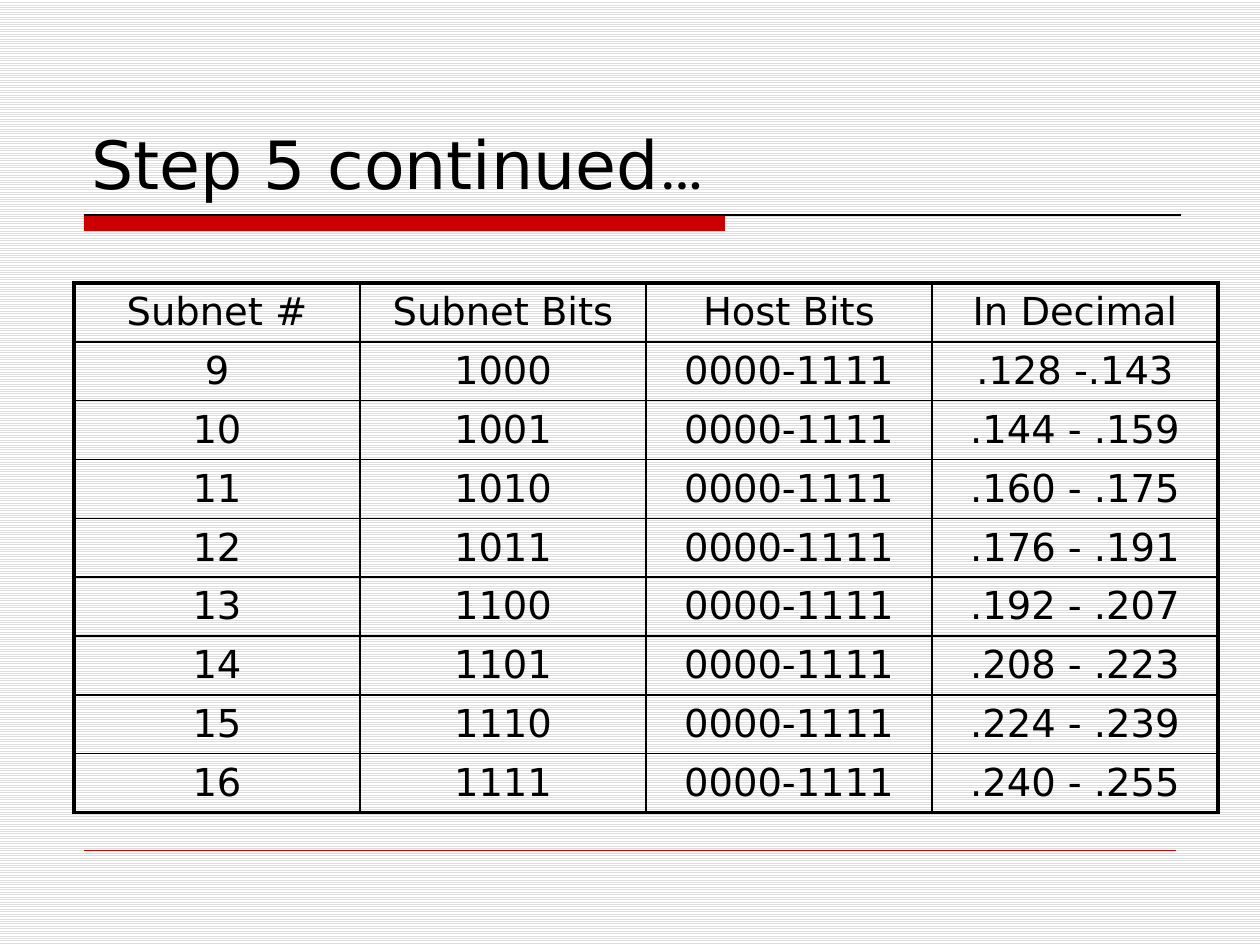
import pptx
import pptx.util
import pptx.dml.color
import pptx.enum.dml
import pptx.enum.shapes
import pptx.enum.text
import pptx.oxml
import pptx.oxml.ns

TITLE = [("Step 5 continued", "DejaVu Sans"), ("…", "Roboto")]
HEADS = ["Subnet #", "Subnet Bits", "Host Bits", "In Decimal"]
HOSTS = "0000-1111"
ROWS = [
    ("9", "1000", HOSTS, ".128 -.143"),
    ("10", "1001", HOSTS, ".144 - .159"),
    ("11", "1010", HOSTS, ".160 - .175"),
    ("12", "1011", HOSTS, ".176 - .191"),
    ("13", "1100", HOSTS, ".192 - .207"),
    ("14", "1101", HOSTS, ".208 - .223"),
    ("15", "1110", HOSTS, ".224 - .239"),
    ("16", "1111", HOSTS, ".240 - .255"),
]
BLACK, RED, WHITE, GREY = "000000", "CC0000", "FFFFFF", "DDDDDD"
COL, ROW = 286, 57
THIN, THICK = 1, 2.25


def px(n):
    return round(n * 914400 / 126)


def rgb(code):
    return pptx.dml.color.RGBColor.from_string(code)


def style(font, name, size):
    font.name, font.size = name, pptx.util.Pt(size)
    font.color.rgb = rgb(BLACK)


def rule(slide, x1, x2, y, color, width):
    line = slide.shapes.add_connector(
        pptx.enum.shapes.MSO_CONNECTOR.STRAIGHT, px(x1), px(y), px(x2), px(y))
    line.line.color.rgb = rgb(color)
    line.line.width = pptx.util.Pt(width)
    props = line._element.spPr
    props.append(props.makeelement(pptx.oxml.ns.qn("a:effectLst"), {}))


def border(cell, widths):
    """Draw the left, right, top and bottom edges, widths in points."""
    props = cell._tc.get_or_add_tcPr()
    for side, width in zip("LRTB", widths):
        props.append(pptx.oxml.parse_xml(
            f'<a:ln{side} {pptx.oxml.ns.nsdecls("a")} w="{pptx.util.Pt(width)}">'
            f'<a:solidFill><a:srgbClr val="{BLACK}"/></a:solidFill></a:ln{side}>'))


def add_title(slide):
    bar = slide.shapes.add_shape(
        pptx.enum.shapes.MSO_SHAPE.RECTANGLE, px(84), px(215), px(641), px(16))
    bar.shadow.inherit = False
    bar.fill.solid()
    bar.fill.fore_color.rgb = rgb(RED)
    bar.line.fill.background()
    rule(slide, 84, 1181, 215, BLACK, 0.75)
    box = slide.shapes.add_textbox(px(79), px(42), px(1102), px(167))
    frame = box.text_frame
    frame.word_wrap = True
    frame.vertical_anchor = pptx.enum.text.MSO_ANCHOR.BOTTOM
    for text, name in TITLE:
        run = frame.paragraphs[0].add_run()
        run.text = text
        style(run.font, name, 38)


def add_subnets(slide):
    data = [HEADS] + ROWS
    high, wide = len(data), len(HEADS)
    table = slide.shapes.add_table(
        high, wide, px(74), px(283), px(COL * wide), px(ROW * high)).table
    table.first_row = table.horz_banding = False
    for col in table.columns:
        col.width = px(COL)
    for r, row in enumerate(data):
        table.rows[r].height = px(ROW)
        for c, text in enumerate(row):
            cell = table.cell(r, c)
            edges = (c == 0, c == wide - 1, r == 0, r == high - 1)
            border(cell, [THICK if edge else THIN for edge in edges])
            cell.fill.background()
            if r:
                cell.vertical_anchor = pptx.enum.text.MSO_ANCHOR.MIDDLE
            cell.text = text
            para = cell.text_frame.paragraphs[0]
            para.alignment = pptx.enum.text.PP_ALIGN.CENTER
            style(para.font, "DejaVu Sans", 22)


def main():
    deck = pptx.Presentation()
    deck.slide_width, deck.slide_height = px(1260), px(945)
    slide = deck.slides.add_slide(deck.slide_layouts[6])
    fill = slide.background.fill
    fill.patterned()
    fill.pattern = pptx.enum.dml.MSO_PATTERN.LIGHT_HORIZONTAL
    fill.fore_color.rgb, fill.back_color.rgb = rgb(GREY), rgb(WHITE)
    add_title(slide)
    rule(slide, 84, 1176, 850, RED, 0.25)
    add_subnets(slide)
    deck.save("out.pptx")


if __name__ == "__main__":
    main()
